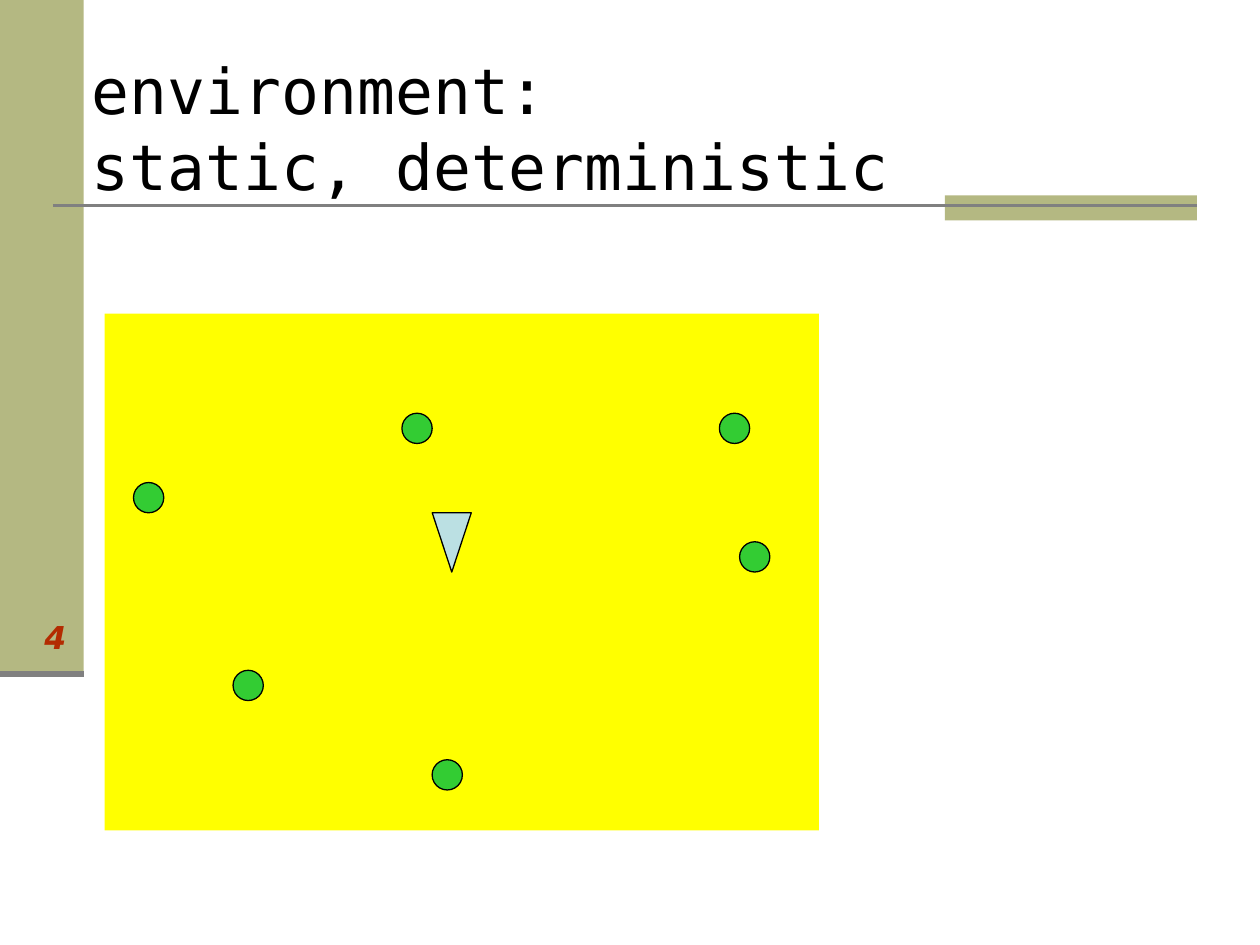
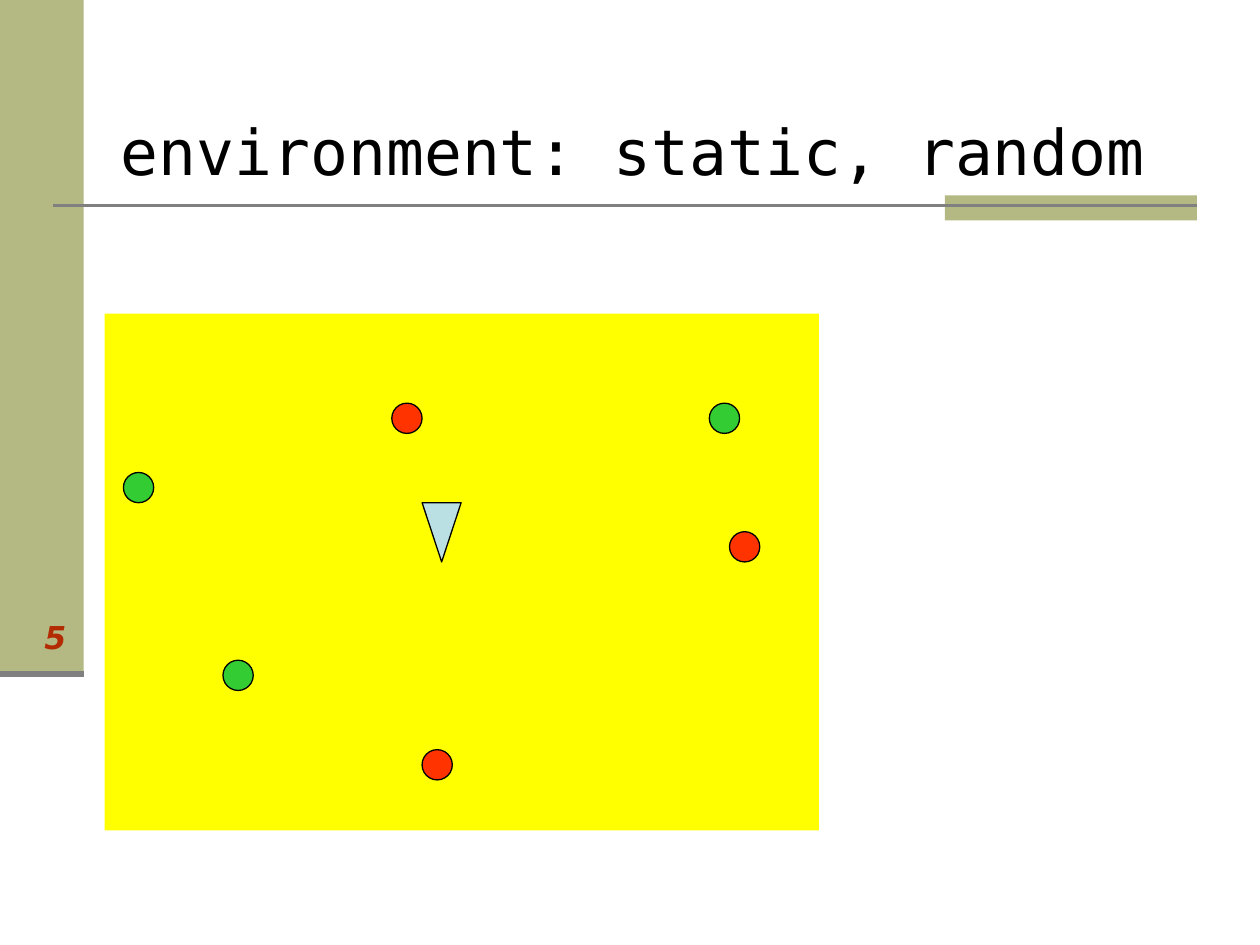
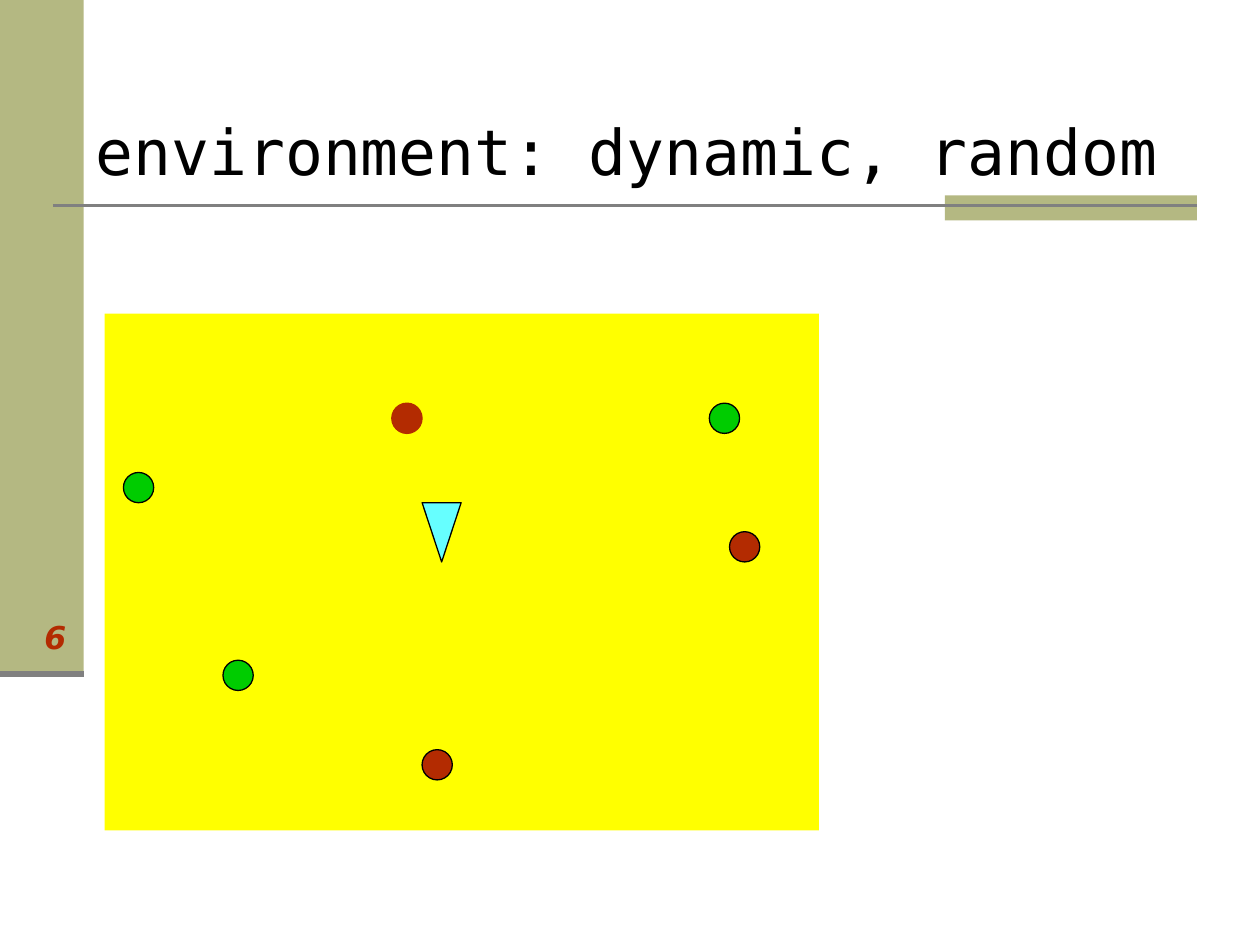
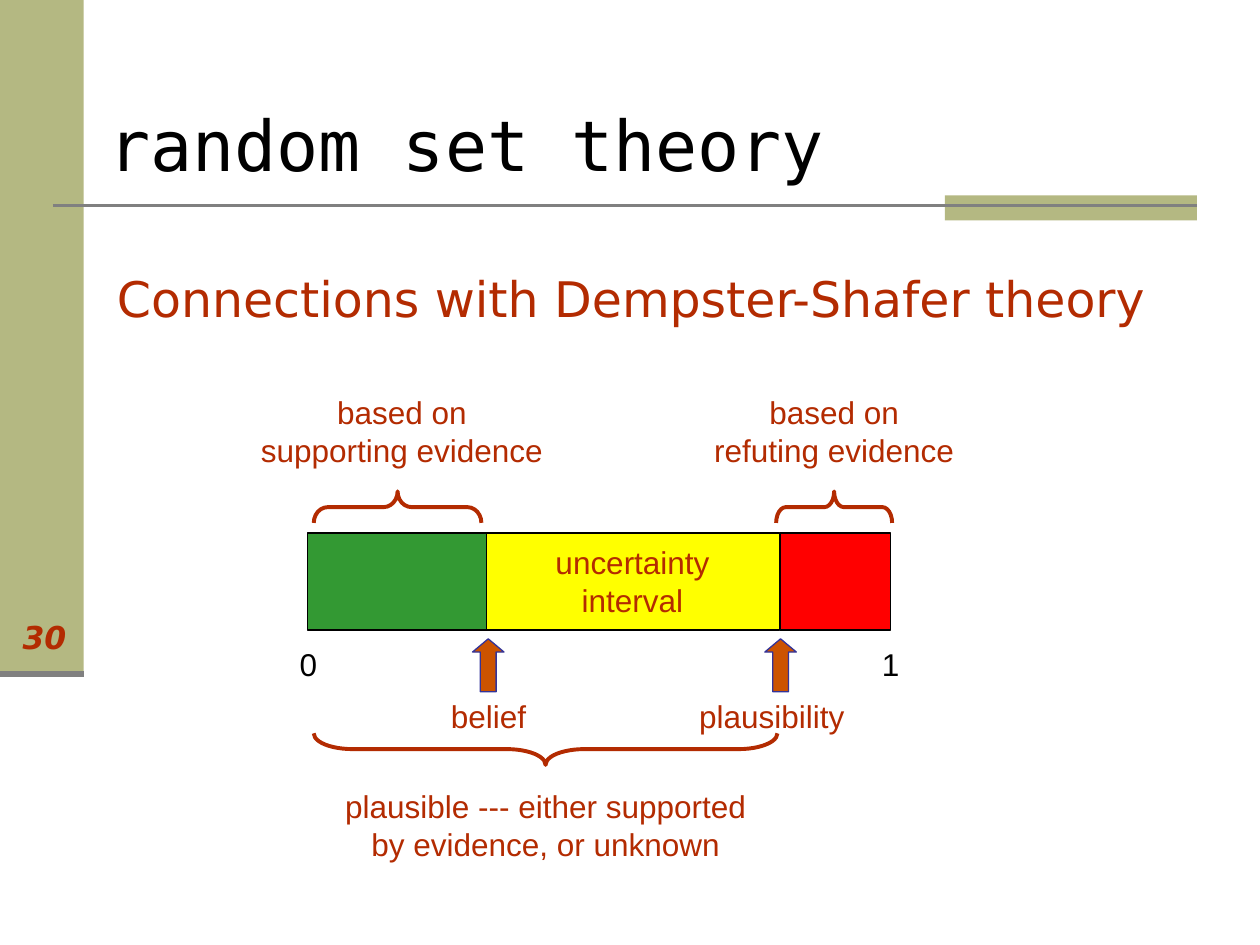
from lxml import etree
from pptx import Presentation
from pptx.dml.color import RGBColor
from pptx.enum.shapes import MSO_CONNECTOR, MSO_SHAPE
from pptx.enum.text import MSO_AUTO_SIZE, PP_ALIGN
from pptx.oxml.ns import qn
from pptx.util import Inches, Pt

RECT, OVAL = MSO_SHAPE.RECTANGLE, MSO_SHAPE.OVAL
TRIANGLE, ARROW = MSO_SHAPE.ISOSCELES_TRIANGLE, MSO_SHAPE.UP_ARROW
BRACE, STRAIGHT = MSO_SHAPE.LEFT_BRACE, MSO_CONNECTOR.STRAIGHT
LEFT, CENTER, RIGHT = PP_ALIGN.LEFT, PP_ALIGN.CENTER, PP_ALIGN.RIGHT
FIT_SHAPE = MSO_AUTO_SIZE.SHAPE_TO_FIT_TEXT

COLS, ROWS = 100, 75
SANS, MONO, LABEL = "DejaVu Sans", "DejaVu Sans Mono", "Arial"
COLORS = {
    "white": "FFFFFF", "black": "000000", "olive": "B4B882", "gray": "808080",
    "rust": "B32B01", "yellow": "FFFF00", "lime": "33CC33", "orange": "FF3300",
    "green": "00CC00", "ice": "BBE0E3", "cyan": "66FFFF", "forest": "339933",
    "red": "FF0000", "copper": "CC5300", "navy": "333399",
}

# Landmarks and agent of the field, as (column, row)
LANDMARKS = [(9.8, 37.5), (31.1, 32), (57.9, 42.2),
             (56.3, 32), (17.7, 52.4), (33.5, 59.5)]
AGENT = (33.5, 39.9)


class Deck:
    """Style and current slide; all lengths are grid columns and rows."""

    def __init__(self):
        self.prs = Presentation()
        self.prs.slide_width, self.prs.slide_height = Inches(10), Inches(7.5)
        self.col = self.prs.slide_width / COLS
        self.row = self.prs.slide_height / ROWS
        self.slide = None

    def grid(self, x, y, w, h):
        return (round(x * self.col), round(y * self.row),
                round(w * self.col), round(h * self.row))

    def color(self, name):
        return RGBColor.from_string(COLORS[name])

    def new_slide(self, number):
        """Start a slide with the shared bands, rules and slide number."""
        self.slide = self.prs.slides.add_slide(self.prs.slide_layouts[6])
        bg = self.slide.background.fill
        bg.solid()
        bg.fore_color.rgb = self.color("white")
        self.shape(RECT, (0, 0, 6.65, 53.3), "olive")
        self.shape(RECT, (75, 15.5, 20, 2), "olive")
        self.rule(4.2, 95, 16.3, 1.5)
        self.rule(0, 6.65, 53.5, 3.5)
        self.text((-14.6, 48.55, 20.85, 3.9), [str(number)], font=SANS,
                  align=RIGHT, wrap=True, strong=True)

    def shape(self, kind, box, fill=None, line=None, width=0.75, turn=0):
        sp = self.slide.shapes.add_shape(kind, *self.grid(*box))
        sp.shadow.inherit = False
        sp.rotation = turn
        if fill:
            sp.fill.solid()
            sp.fill.fore_color.rgb = self.color(fill)
        else:
            sp.fill.background()
        if line:
            sp.line.color.rgb = self.color(line)
            sp.line.width = Pt(width)
        else:
            sp.line.fill.background()
        return sp

    def rule(self, start, end, y, width):
        x1, y1, x2, _ = self.grid(start, y, end, 0)
        line = self.slide.shapes.add_connector(STRAIGHT, x1, y1, x2, y1)
        line.line.color.rgb = self.color("gray")
        line.line.width = Pt(width)
        etree.SubElement(line._element.spPr, qn("a:effectLst"))

    def brace(self, x, y, length, points_up=True):
        """Horizontal brace whose corners are a twelfth of its length."""
        depth = 2.5
        box = (x + (length - depth) / 2, y - (length - depth) / 2, depth, length)
        sp = self.shape(BRACE, box, None, "rust", 2.25, 90 if points_up else 270)
        sp.adjustments[0] = length / depth / 12

    def text(self, box, lines, size=18, font=LABEL, color="rust", align=LEFT,
             wrap=False, strong=False):
        tf = self.slide.shapes.add_textbox(*self.grid(*box)).text_frame
        tf.word_wrap = wrap
        tf.auto_size = FIT_SHAPE
        for i, line in enumerate(lines):
            p = tf.paragraphs[0] if i == 0 else tf.add_paragraph()
            p.alignment = align
            r = p.add_run()
            r.text = line
            r.font.name, r.font.size = font, Pt(size)
            r.font.bold = r.font.italic = strong
            r.font.color.rgb = self.color(color)

    def title(self, box, lines, size=36):
        self.text(box, lines, size, MONO, "black")

    def field(self, fills, agent_fill, shift=0, outlines=("black",) * 6):
        """Yellow field with its landmarks and the agent between them."""
        self.shape(RECT, (8.3, 24.9, 56.7, 41), "yellow")
        for (x, y), fill, line in zip(LANDMARKS, fills, outlines):
            self.shape(OVAL, (x + shift, y + shift, 2.4, 2.4), fill, line)
        x, y = AGENT
        self.shape(TRIANGLE, (x + shift, y + shift, 3.1, 4.7),
                   agent_fill, "black", turn=180)


def random_fills(known, unsure):
    return [known, unsure, unsure, known, known, unsure]


def environment_slides(deck):
    deck.new_slide(4)
    deck.field(["lime"] * 6, "ice", shift=0.8)
    deck.title((6.3, 3.6, 65.2, 13), ["environment:", "static, deterministic"])

    deck.new_slide(5)
    deck.field(random_fills("lime", "orange"), "ice")
    deck.title((8.6, 8.4, 83.3, 7), ["environment: static, random"])

    deck.new_slide(6)
    deck.field(random_fills("green", "rust"), "cyan",
               outlines=["black", "rust"] + ["black"] * 4)
    deck.title((6.6, 8.4, 86.3, 7), ["environment: dynamic, random"])


def random_set_slide(deck):
    deck.new_slide(30)
    for x, w, fill in [(24.4, 23.3, "forest"), (38.6, 23.3, "yellow"),
                       (61.9, 8.8, "red")]:
        deck.shape(RECT, (x, 42.3, w, 7.7), fill, "black")

    deck.text((34.8, 54.8, 8, 4), ["belief"])
    deck.text((54.5, 54.8, 14.7, 4), ["plausibility"], wrap=True)
    for x in (37.5, 60.7):
        arrow = deck.shape(ARROW, (x, 50.7, 2.5, 4.2), "copper", "navy")
        arrow.adjustments[1] = 0.42
    for x, limit in [(22.8, "0"), (69, "1")]:
        deck.text((x, 50.7, 3.4, 4), [limit], color="black")

    deck.brace(24.9, 39, 13.3)
    deck.brace(61.6, 39, 9.2)
    deck.brace(24.9, 58.2, 36.8, points_up=False)
    for box, lines in [
        ((19.7, 30.7, 24.4, 7), ["based on", "supporting evidence"]),
        ((55.2, 30.7, 22, 7), ["based on", "refuting evidence"]),
        ((26.4, 62, 33.8, 7),
         ["plausible --- either supported", "by evidence, or unknown"]),
        ((43.1, 42.6, 14.2, 7), ["uncertainty", "interval"]),
    ]:
        deck.text(box, lines, align=CENTER)

    deck.title((7.6, 7.6, 58.8, 7.7), ["random set theory"], 40)
    deck.text((8.3, 20.8, 89.7, 5.7),
              ["Connections with Dempster-Shafer theory"], 28, SANS, wrap=True)


def main():
    deck = Deck()
    environment_slides(deck)
    random_set_slide(deck)
    deck.prs.save("out.pptx")


if __name__ == "__main__":
    main()
